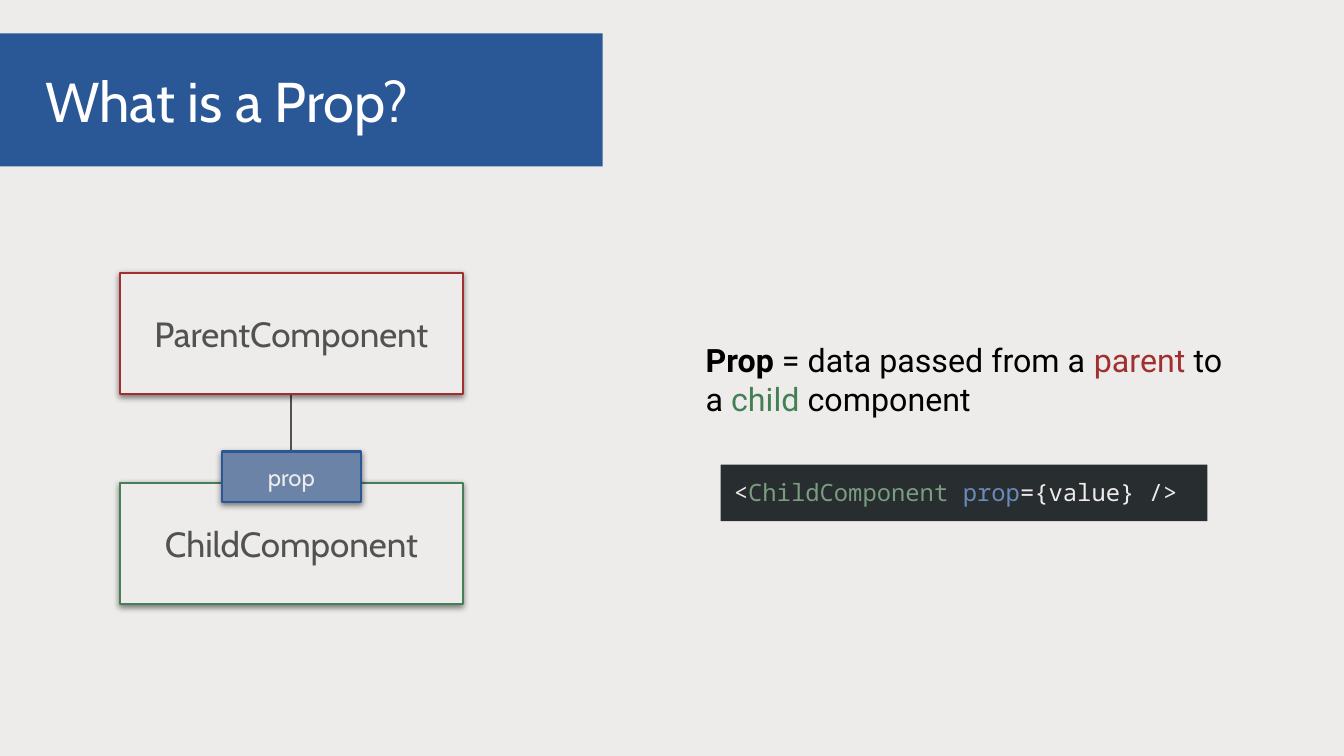
"""Build the slide that explains what a component prop is."""
from dataclasses import dataclass

from lxml import etree
from pptx import Presentation
from pptx.dml.color import RGBColor
from pptx.enum.shapes import MSO_CONNECTOR, MSO_SHAPE
from pptx.enum.text import MSO_ANCHOR, MSO_AUTO_SIZE, PP_ALIGN
from pptx.oxml.ns import qn
from pptx.util import Pt

RECTANGLE = MSO_SHAPE.RECTANGLE
STRAIGHT = MSO_CONNECTOR.STRAIGHT
TOP, MIDDLE = MSO_ANCHOR.TOP, MSO_ANCHOR.MIDDLE
LEFT, CENTER = PP_ALIGN.LEFT, PP_ALIGN.CENTER
NO_FIT, GROW = MSO_AUTO_SIZE.NONE, MSO_AUTO_SIZE.SHAPE_TO_FIT_TEXT


@dataclass(frozen=True)
class Theme:
    """Colours, fonts and sizes of the slide."""
    paper: str = "EEECEA"
    white: str = "FFFFFF"
    black: str = "000000"
    gray: str = "515353"
    blue: str = "2A5796"
    soft_blue: str = "6B83A7"
    red: str = "A12F2F"
    green: str = "448056"
    code_back: str = "282D2F"
    code_green: str = "7A9C80"
    code_blue: str = "698BBC"
    heading_font: str = "Cabin"
    body_font: str = "Roboto"
    code_font: str = "Noto Sans Mono"
    title_size: float = 40
    label_size: float = 25
    body_size: float = 23
    small_size: float = 17
    line_width: float = 1.5
    wide_inset: float = 12.96
    inset: float = 9.36


THEME = Theme()


def color(code):
    """Return the colour for a hex code."""
    return RGBColor.from_string(code)


def set_text(box, spans, font, size, inset=THEME.inset, align=LEFT, anchor=MIDDLE, fit=NO_FIT):
    """Fill a box with one paragraph of (text, colour, bold) spans."""
    frame = box.text_frame
    frame.word_wrap = True
    frame.auto_size = fit
    frame.vertical_anchor = anchor
    frame.margin_left = frame.margin_right = Pt(inset)
    frame.margin_top = frame.margin_bottom = Pt(inset)
    para = frame.paragraphs[0]
    para.alignment = align
    for text, text_color, bold in spans:
        span = para.add_run()
        span.text = text
        span.font.name = font
        span.font.size = Pt(size)
        span.font.bold = bold
        span.font.color.rgb = color(text_color)


def add_panel(page, left, top, width, height, fill):
    """Add a flat rectangle without outline."""
    panel = page.shapes.add_shape(RECTANGLE, Pt(left), Pt(top), Pt(width), Pt(height))
    panel.shadow.inherit = False
    panel.fill.solid()
    panel.fill.fore_color.rgb = color(fill)
    panel.line.fill.background()
    return panel


def add_shadow(box):
    """Give a box a soft shadow that falls downwards."""
    effects = box.element.spPr.find(qn("a:effectLst"))
    shadow = etree.SubElement(effects, qn("a:outerShdw"), blurRad=str(Pt(4.5)),
                              dist=str(Pt(1.5)), dir="5400000", algn="bl", rotWithShape="0")
    tint = etree.SubElement(shadow, qn("a:srgbClr"), val=THEME.black)
    etree.SubElement(tint, qn("a:alpha"), val="50000")


def add_card(page, place, label, fill, outline, text_color, size):
    """Add an outlined, shadowed box with a centred label."""
    card = add_panel(page, *place, fill)
    card.line.color.rgb = color(outline)
    card.line.width = Pt(THEME.line_width)
    add_shadow(card)
    set_text(card, [(label, text_color, False)], THEME.heading_font, size,
             inset=THEME.wide_inset, align=CENTER)


def add_down_arrow(page, x, top, bottom):
    """Add a vertical arrow pointing down."""
    arrow = page.shapes.add_connector(STRAIGHT, Pt(x), Pt(top), Pt(x), Pt(bottom))
    arrow.line.color.rgb = color(THEME.gray)
    arrow.line.width = Pt(THEME.line_width)
    etree.SubElement(arrow.line._get_or_add_ln(), qn("a:tailEnd"), type="triangle")
    etree.SubElement(arrow.element.spPr, qn("a:effectLst"))


def add_diagram(page):
    """Draw the parent passing a prop to its child."""
    left, width, height = 85.68, 244.8, 86.4
    parent_top, child_top = 195.12, 344.88
    prop_width, prop_height = 99.36, 36
    center = left + width / 2
    add_down_arrow(page, center, parent_top + height, child_top)
    for label, top, outline in (("ParentComponent", parent_top, THEME.red),
                                ("ChildComponent", child_top, THEME.green)):
        add_card(page, (left, top, width, height), label, THEME.paper, outline,
                 THEME.gray, THEME.label_size)
    add_card(page, (center - prop_width / 2, 322.56, prop_width, prop_height), "prop",
             THEME.soft_blue, THEME.blue, THEME.paper, THEME.small_size)


def add_title(page, text):
    """Place the title on its blue banner."""
    banner = add_panel(page, 0, 23.76, 430.56, 95.04, THEME.blue)
    title = page.shapes.title
    banner.element.addnext(title.element)
    title.left, title.top, title.width, title.height = Pt(23.04), Pt(37.44), Pt(370.08), Pt(67.68)
    set_text(title, [(text, THEME.white, False)], THEME.heading_font, THEME.title_size)


def add_definition(page):
    """Add the sentence that defines a prop."""
    box = page.shapes.add_textbox(Pt(494.64), Pt(234), Pt(388.08), Pt(74.88))
    spans = [("Prop", THEME.black, True), (" = data passed from a ", THEME.black, False),
             ("parent", THEME.red, False), (" to a ", THEME.black, False),
             ("child ", THEME.green, False), ("component", THEME.black, False)]
    set_text(box, spans, THEME.body_font, THEME.body_size, anchor=TOP, fit=GROW)


def add_code(page):
    """Add the code sample on a dark panel."""
    panel = add_panel(page, 514.8, 331.92, 347.76, 40.32, THEME.code_back)
    spans = [("<", THEME.paper, False), ("ChildComponent ", THEME.code_green, False),
             ("prop", THEME.code_blue, False), ("={value} />", THEME.paper, False)]
    set_text(panel, spans, THEME.code_font, THEME.small_size, anchor=TOP, fit=GROW)


def main():
    """Build and save the deck."""
    deck = Presentation()
    deck.slide_width, deck.slide_height = Pt(960), Pt(540)
    page = deck.slides.add_slide(deck.slide_layouts[5])
    page.background.fill.solid()
    page.background.fill.fore_color.rgb = color(THEME.paper)
    add_diagram(page)
    add_title(page, "What is a Prop?")
    add_definition(page)
    add_code(page)
    deck.save("out.pptx")


if __name__ == "__main__":
    main()
